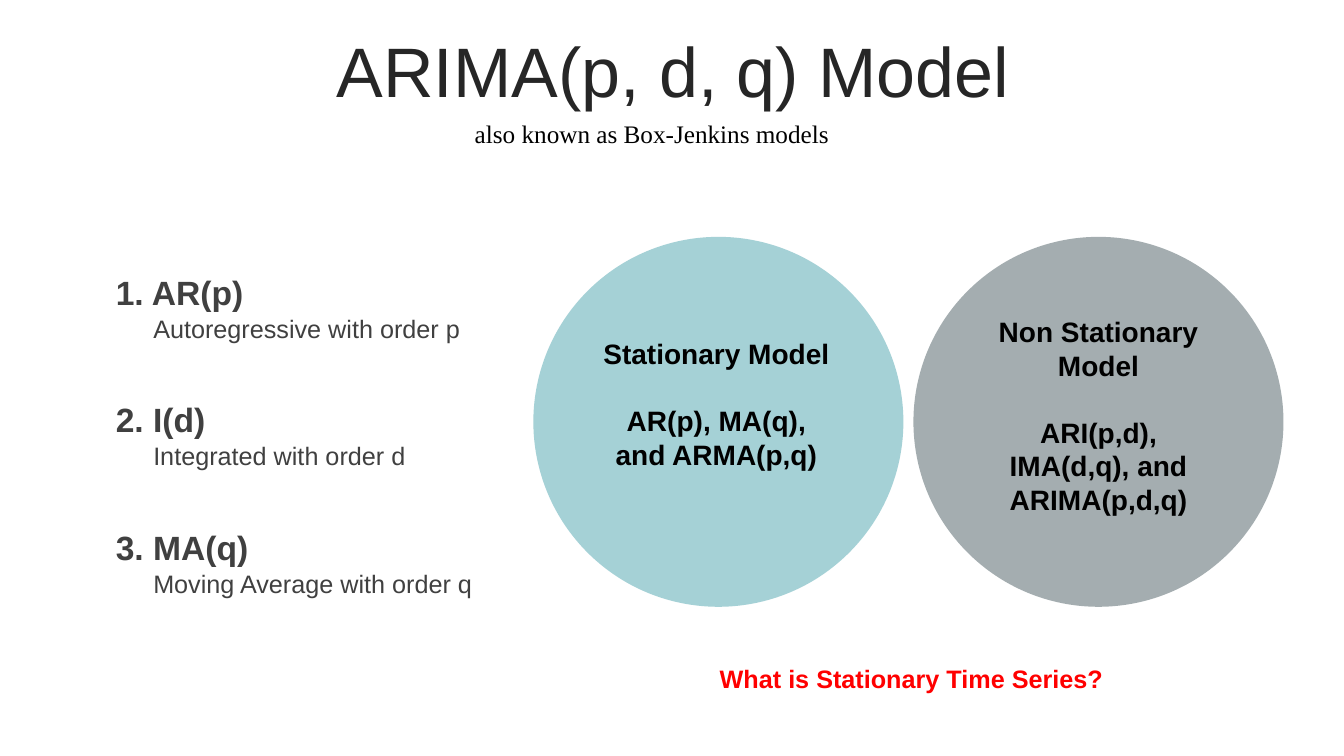
from dataclasses import dataclass

import pptx
import pptx.dml.color
import pptx.enum.shapes
import pptx.enum.text
import pptx.oxml
import pptx.oxml.ns
import pptx.slide
import pptx.util
from pptx.util import Inches

RGBColor = pptx.dml.color.RGBColor
Pt = pptx.util.Pt
CENTER = pptx.enum.text.PP_ALIGN.CENTER
LEFT = pptx.enum.text.PP_ALIGN.LEFT

INK = RGBColor(0x26, 0x26, 0x26)
GRAY = RGBColor(0x40, 0x40, 0x40)
BLACK = RGBColor(0x00, 0x00, 0x00)
RED = RGBColor(0xFF, 0x00, 0x00)
TEAL = RGBColor(0x9C, 0xCC, 0xD2)
SLATE = RGBColor(0x4A, 0x5D, 0x62)

TITLE = {"name": "Arial", "size": Pt(50), "bold": False}
SUBTITLE = {"name": "Times New Roman", "size": Pt(18), "bold": False}
QUESTION = {"name": "Arial", "size": Pt(18), "bold": True}
TERM = {"name": "Arial", "size": Pt(24), "bold": True}
DETAIL = {"name": "Arial", "size": Pt(18), "bold": False}
CIRCLE_TEXT = {"name": "Arial", "size": Pt(20), "bold": True}

CIRCLE_TOP = 2.35
CIRCLE_SIZE = 3.67
TERM_TOP = 2.65
TERM_PITCH = 1.263


@dataclass
class Label:
    lines: list[str]
    left: float
    top: float
    width: float
    height: float
    font: dict
    color: RGBColor
    alignment: pptx.enum.text.PP_ALIGN = LEFT
    wrap: bool = True
    inset: float = 0.1
    line_spacing: float | pptx.util.Length | None = None
    gap: pptx.util.Length = Pt(0)
    anchor: pptx.enum.text.MSO_ANCHOR = pptx.enum.text.MSO_ANCHOR.TOP


@dataclass
class ModelCircle:
    left: float
    fill: RGBColor
    opacity: int
    label: Label


@dataclass
class Term:
    name: str
    detail: str


TERMS = [
    Term("1. AR(p)", "Autoregressive with order p"),
    Term("2. I(d)", "Integrated with order d"),
    Term("3. MA(q)", "Moving Average with order q"),
]


def circle_label(lines: list[str], left: float, top: float, height: float) -> Label:
    return Label(lines, left, top, 2.51, height, CIRCLE_TEXT, BLACK, CENTER,
                 line_spacing=Pt(24), gap=Pt(24))


CIRCLES = [
    ModelCircle(5.29, TEAL, 90, circle_label(
        ["Stationary Model", "AR(p), MA(q), and ARMA(p,q)"], 5.85, 3.29, 1.45)),
    ModelCircle(9.06, SLATE, 50, circle_label(
        ["Non Stationary Model", "ARI(p,d), IMA(d,q), and ARIMA(p,d,q)"], 9.64, 3.07, 2.12)),
]

HEADINGS = [
    Label(["ARIMA(p, d, q) Model"], 0.35, 0.37, 12.66, 0.79, TITLE, INK, CENTER,
          line_spacing=0.8, anchor=pptx.enum.text.MSO_ANCHOR.MIDDLE),
    Label(["also known as Box-Jenkins models"], 4.61, 1.12, 3.75, 0.4,
          SUBTITLE, BLACK, wrap=False),
    Label(["What is Stationary Time Series?"], 7.04, 6.53, 4.04, 0.4,
          QUESTION, RED, wrap=False),
]


def draw_label(slide: pptx.slide.Slide, label: Label) -> None:
    shape = slide.shapes.add_textbox(Inches(label.left), Inches(label.top),
                                     Inches(label.width), Inches(label.height))
    frame = shape.text_frame
    frame_format = {
        "word_wrap": label.wrap,
        "vertical_anchor": label.anchor,
        "margin_left": Inches(label.inset),
        "margin_right": Inches(label.inset),
    }
    for name, value in frame_format.items():
        setattr(frame, name, value)
    for index, line in enumerate(label.lines):
        paragraph = frame.add_paragraph() if index else frame.paragraphs[0]
        paragraph.text = line
        paragraph.alignment = label.alignment
        paragraph.line_spacing = label.line_spacing
        paragraph.space_before = label.gap if index else Pt(0)
        for name, value in label.font.items():
            setattr(paragraph.font, name, value)
        paragraph.font.color.rgb = label.color


def draw_circle(slide: pptx.slide.Slide, circle: ModelCircle) -> None:
    shape = slide.shapes.add_shape(
        pptx.enum.shapes.MSO_SHAPE.OVAL, Inches(circle.left), Inches(CIRCLE_TOP),
        Inches(CIRCLE_SIZE), Inches(CIRCLE_SIZE))
    shape.shadow.inherit = False
    shape.line.fill.background()
    shape.fill.solid()
    shape.fill.fore_color.rgb = circle.fill
    color = shape.fill._xPr.find(".//" + pptx.oxml.ns.qn("a:srgbClr"))
    alpha = pptx.oxml.parse_xml(
        f'<a:alpha {pptx.oxml.ns.nsdecls("a")} val="{circle.opacity * 1000}"/>')
    color.append(alpha)


def draw_term(slide: pptx.slide.Slide, term: Term, top: float) -> None:
    draw_label(slide, Label([term.detail], 1.44, top + 0.41, 4.59, 0.4,
                            DETAIL, GRAY, inset=0.08))
    draw_label(slide, Label([term.name], 1.05, top, 4.97, 0.5, TERM, GRAY))


def main() -> None:
    presentation = pptx.Presentation()
    presentation.slide_width = Inches(13.33)
    presentation.slide_height = Inches(7.5)
    slide = presentation.slides.add_slide(presentation.slide_layouts[6])
    for circle in CIRCLES:
        draw_circle(slide, circle)
        draw_label(slide, circle.label)
    for index, term in enumerate(TERMS):
        draw_term(slide, term, TERM_TOP + index * TERM_PITCH)
    for heading in HEADINGS:
        draw_label(slide, heading)
    presentation.save("out.pptx")


if __name__ == "__main__":
    main()
